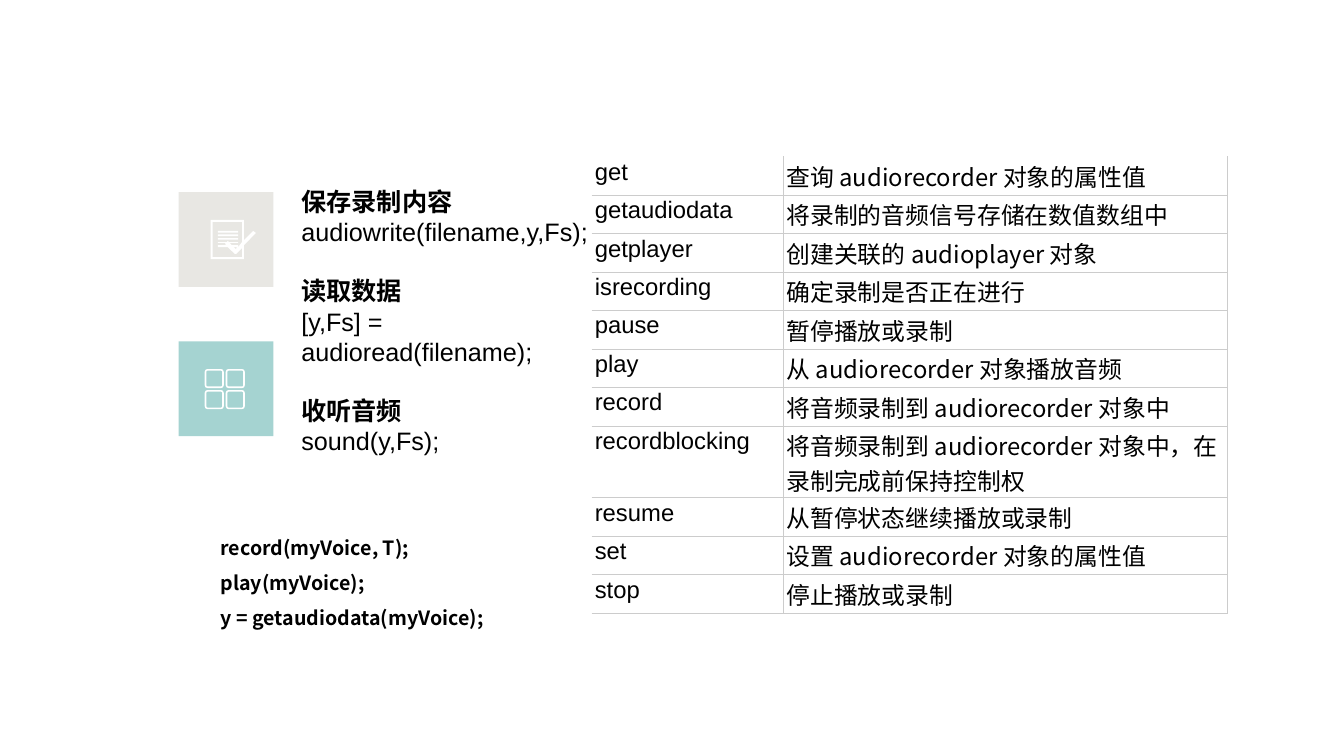
from itertools import product
from math import cos, pi, sin

from lxml.etree import SubElement
from pptx import Presentation
from pptx.dml.color import RGBColor
from pptx.enum.shapes import MSO_SHAPE
from pptx.enum.text import MSO_AUTO_SIZE as AutoSize, MSO_VERTICAL_ANCHOR as Anchor
from pptx.oxml.ns import qn
from pptx.util import Cm, Pt

BLACK = RGBColor(0x00, 0x00, 0x00)
WHITE = RGBColor(0xFF, 0xFF, 0xFF)
TEAL = RGBColor(0xA5, 0xD3, 0xD1)
SAND = RGBColor(0xE8, 0xE7, 0xE3)
RULE_GRAY = RGBColor(0xCC, 0xCC, 0xCC)
LATIN = "Arial"
CHINESE = "Noto Sans CJK SC"

STEPS = [
    ("保存录制内容", "audiowrite(filename,y,Fs);"),
    ("读取数据", "[y,Fs] = audioread(filename);"),
    ("收听音频", "sound(y,Fs);"),
]
COMMANDS = ["record(myVoice, T);", "play(myVoice);", "y = getaudiodata(myVoice);"]
METHODS = [
    ("get", "查询 audiorecorder 对象的属性值"),
    ("getaudiodata", "将录制的音频信号存储在数值数组中"),
    ("getplayer", "创建关联的 audioplayer 对象"),
    ("isrecording", "确定录制是否正在进行"),
    ("pause", "暂停播放或录制"),
    ("play", "从 audiorecorder 对象播放音频"),
    ("record", "将音频录制到 audiorecorder 对象中"),
    ("recordblocking", "将音频录制到 audiorecorder 对象中，在录制完成前保持控制权"),
    ("resume", "从暂停状态继续播放或录制"),
    ("set", "设置 audiorecorder 对象的属性值"),
    ("stop", "停止播放或录制"),
]

PAGE_EDGE = [(0, 0), (84, 0), (84, 51), (107, 28), (114, 33), (84, 64), (84, 99), (0, 99)]
PAGE_INSIDE = [
    (5, 5), (5, 94), (79, 94), (79, 71), (64, 86), (61, 86), (43, 69), (18, 69),
    (18, 64), (41, 64), (36, 61), (38, 58), (18, 58), (18, 56), (41, 56), (43, 53),
    (46, 56), (69, 56), (69, 58), (48, 58), (53, 64), (69, 64), (69, 69), (79, 56), (79, 5),
]
CHECK_GAP = [(58, 69), (64, 74), (66, 69)]


def write(paragraph, text, *, font=LATIN, size=18, bold=False, before=0, spacing=1.0):
    paragraph.space_before = Pt(before)
    paragraph.line_spacing = spacing
    run = paragraph.add_run()
    run.text = text
    run.font.name = font
    run.font.size = Pt(size)
    run.font.bold = bold
    run.font.color.rgb = BLACK
    SubElement(run._r.get_or_add_rPr(), qn("a:ea"), typeface=CHINESE)


def next_paragraph(frame):
    first = frame.paragraphs[0]
    return frame.add_paragraph() if first.runs else first


def rectangle_outline(left, top, width, height):
    right, bottom = left + width, top + height
    return [(left, top), (right, top), (right, bottom), (left, bottom)]


def rounded_outline(left, top, side, radius, arc_steps=4):
    reach = side - radius
    centres = [(reach, reach), (radius, reach), (radius, radius), (reach, radius)]
    points = []
    for quarter, (x, y) in enumerate(centres):
        for step in range(arc_steps + 1):
            angle = (quarter + step / arc_steps) * pi / 2
            points.append((left + x + radius * cos(angle), top + y + radius * sin(angle)))
    return points


class RecorderSlide:
    def __init__(self, presentation):
        self.slide = presentation.slides.add_slide(presentation.slide_layouts[1])
        title = self.slide.shapes.title._element
        title.getparent().remove(title)

    def step_list(self, left, top, width, height):
        body = self.slide.placeholders[1]
        body.left, body.top, body.width, body.height = map(Cm, (left, top, width, height))
        frame = body.text_frame
        frame.auto_size = AutoSize.NONE
        for index, (heading, code) in enumerate(STEPS):
            for text, bold in ((heading, True), (code, False)):
                paragraph = next_paragraph(frame)
                properties = paragraph._p.get_or_add_pPr()
                properties.set("marL", "0")
                properties.set("indent", "0")
                SubElement(properties, qn("a:buNone"))
                write(paragraph, text, bold=bold, before=20.5 if bold and index else 0)

    def command_box(self, left, top, width, height):
        box = self.slide.shapes.add_textbox(*map(Cm, (left, top, width, height)))
        frame = box.text_frame
        frame.word_wrap = True
        frame.auto_size = AutoSize.SHAPE_TO_FIT_TEXT
        for command in COMMANDS:
            write(next_paragraph(frame), command, font=CHINESE, size=14, bold=True, spacing=1.5)

    def paint(self, shape, color):
        shape.shadow.inherit = False
        shape.fill.solid()
        shape.fill.fore_color.rgb = color
        shape.line.fill.background()

    def tile(self, left, top, side, color):
        square = self.slide.shapes.add_shape(
            MSO_SHAPE.RECTANGLE, Cm(left), Cm(top), Cm(side), Cm(side)
        )
        self.paint(square, color)

    def icon(self, left, top, outlines):
        first, *others = outlines
        builder = self.slide.shapes.build_freeform(*first[0], scale=Cm(0.01))
        builder.add_line_segments(first[1:], close=True)
        for outline in others:
            builder.move_to(*outline[0])
            builder.add_line_segments(outline[1:], close=True)
        self.paint(builder.convert_to_shape(Cm(left), Cm(top)), WHITE)

    def cell_border(self, cell, side, visible):
        line = SubElement(cell._tc.get_or_add_tcPr(), qn(f"a:ln{side}"), w=str(Pt(0.5)))
        if visible:
            fill = SubElement(line, qn("a:solidFill"))
            SubElement(fill, qn("a:srgbClr"), val=str(RULE_GRAY))
        else:
            SubElement(line, qn("a:noFill"))

    def method_table(self, left, top, widths, row_height, tall_height):
        heights = [tall_height if name == "recordblocking" else row_height for name, _ in METHODS]
        table = self.slide.shapes.add_table(
            len(METHODS), len(widths), Cm(left), Cm(top), Cm(sum(widths)), Cm(sum(heights))
        ).table
        table.first_row = table.horz_banding = False
        for column, width in zip(table.columns, widths):
            column.width = Cm(width)
        for row, height in zip(table.rows, heights):
            row.height = Cm(height)
        for row, texts in enumerate(METHODS):
            for column, (text, font) in enumerate(zip(texts, (LATIN, CHINESE))):
                cell = table.cell(row, column)
                cell.margin_left = cell.margin_right = Cm(0.08)
                cell.margin_top = cell.margin_bottom = Cm(0.05)
                cell.vertical_anchor = Anchor.TOP
                for side, visible in (("L", column > 0), ("R", True), ("T", row > 0), ("B", True)):
                    self.cell_border(cell, side, visible)
                cell.fill.solid()
                cell.fill.fore_color.rgb = WHITE
                write(cell.text_frame.paragraphs[0], text, font=font, size=17)


def main():
    presentation = Presentation()
    presentation.slide_width = Cm(33.87)
    presentation.slide_height = Cm(19.05)
    recorder = RecorderSlide(presentation)

    recorder.command_box(5.31, 13.08, 7.34, 2.84)
    recorder.step_list(7.34, 4.57, 8.05, 7.19)
    recorder.tile(4.5, 8.6, 2.39, TEAL)
    recorder.tile(4.5, 4.84, 2.39, SAND)

    text_lines = [rectangle_outline(18, top, 51, 4) for top in (28, 37, 46)]
    recorder.icon(5.31, 5.54, [PAGE_EDGE, PAGE_INSIDE, CHECK_GAP, *text_lines])

    windows = []
    for x, y in product((0, 53), repeat=2):
        windows.append(rounded_outline(x, y, 48, 7))
        windows.append(rounded_outline(x + 4, y + 4, 40, 5)[::-1])
    recorder.icon(5.16, 9.3, windows)

    recorder.method_table(14.91, 3.94, (4.83, 11.2), 0.97, 1.81)
    presentation.save("out.pptx")


if __name__ == "__main__":
    main()
